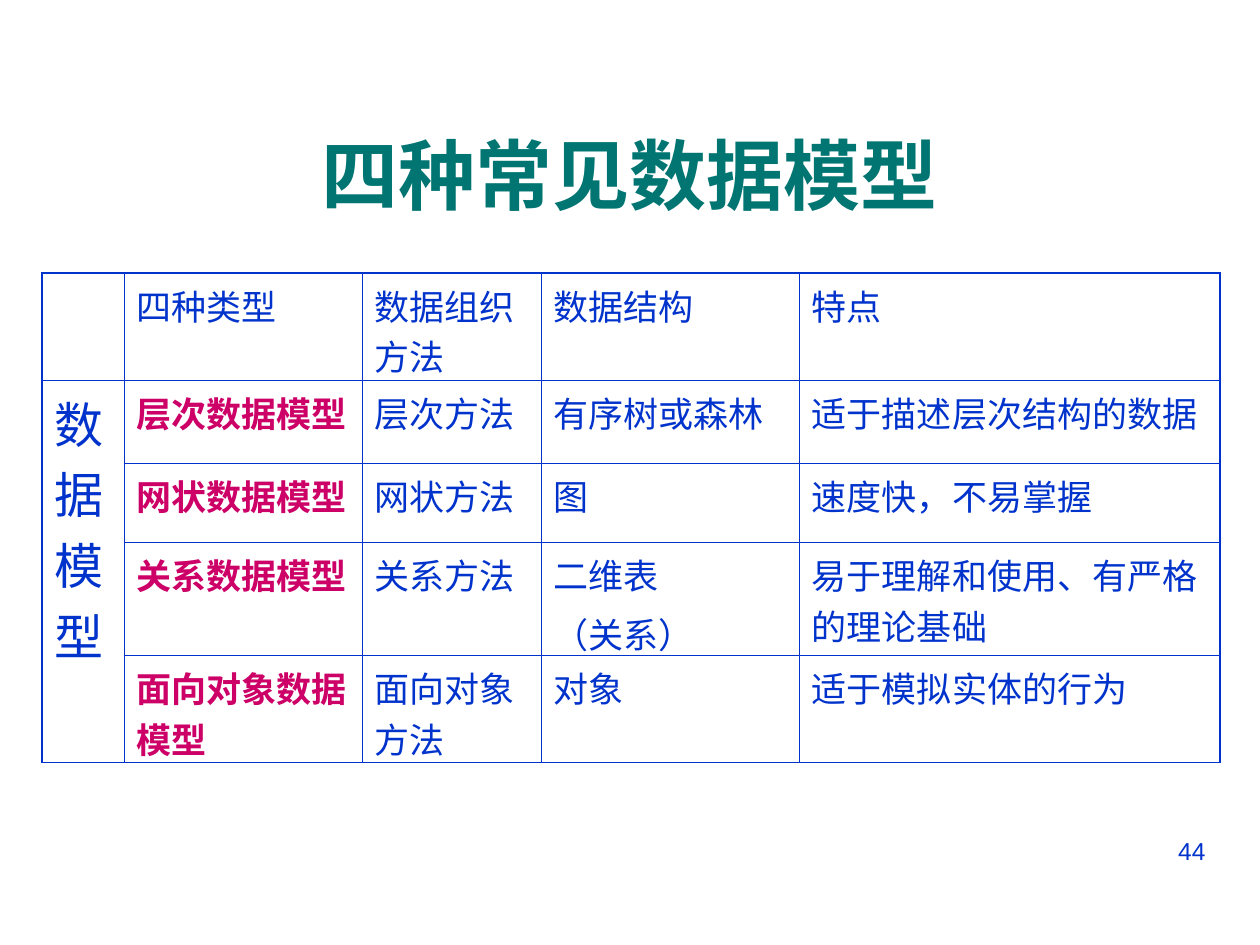
from pptx import Presentation
from pptx.dml.color import RGBColor
from pptx.enum.text import MSO_ANCHOR as Anchor, PP_ALIGN as Align
from pptx.oxml import parse_xml
from pptx.oxml.ns import nsdecls
from pptx.util import Pt

BLUE = RGBColor(0x00, 0x33, 0xCC)
PINK = RGBColor(0xCC, 0x00, 0x66)
TEAL = RGBColor(0x00, 0x75, 0x72)

THIN, THICK = 0.45, 1.08
COLUMNS = [46.8, 136.1, 102.2, 147.6, 240.5]
ROWS = [61.2, 47.5, 45.2, 64.6, 61.2]
MODELS = [
    ["", "四种类型", "数据组织方法", "数据结构", "特点"],
    ["数据模型", "层次数据模型", "层次方法", "有序树或森林", "适于描述层次结构的数据"],
    ["", "网状数据模型", "网状方法", "图", "速度快，不易掌握"],
    ["", "关系数据模型", "关系方法", "二维表\n（关系）", "易于理解和使用、有严格的理论基础"],
    ["", "面向对象数据模型", "面向对象方法", "对象", "适于模拟实体的行为"],
]


class SlideBuilder:
    font = "Arial"

    def __init__(self, prs):
        self.s = prs.slides.add_slide(prs.slide_layouts[5])

    def fill_text(self, tf, text, size, color=BLUE, bold=False, align=Align.LEFT):
        tf.word_wrap = True
        style = {"name": self.font, "size": Pt(size), "bold": bold}
        for i, line in enumerate(text.split("\n")):
            p = tf.add_paragraph() if i else tf.paragraphs[0]
            p.alignment = align
            if i:
                p.space_before = Pt(5)
            r = p.add_run()
            r.text = line
            for name, value in style.items():
                setattr(r.font, name, value)
            r.font.color.rgb = color

    def title(self, text, x, y, w, h):
        sp = self.s.shapes.title
        sp.left, sp.top, sp.width, sp.height = Pt(x), Pt(y), Pt(w), Pt(h)
        sp.text_frame.vertical_anchor = Anchor.MIDDLE
        self.fill_text(sp.text_frame, text, 44, TEAL, True, Align.CENTER)

    def text(self, text, x, y, w, h, size, align):
        sp = self.s.shapes.add_textbox(Pt(x), Pt(y), Pt(w), Pt(h))
        self.fill_text(sp.text_frame, text, size, align=align)

    def borders(self, cell, widths):
        tc_pr = cell._tc.get_or_add_tcPr()
        for side, width in widths.items():
            tc_pr.append(parse_xml(
                f'<a:ln{side} {nsdecls("a")} w="{Pt(width)}"><a:solidFill>'
                f'<a:srgbClr val="{BLUE}"/></a:solidFill></a:ln{side}>'))

    def table(self, data, x, y, columns, rows):
        n_rows, n_cols = len(rows), len(columns)
        table = self.s.shapes.add_table(n_rows, n_cols, Pt(x), Pt(y),
                                        Pt(sum(columns)), Pt(sum(rows))).table
        table.first_row = table.horz_banding = False
        for column, width in zip(table.columns, columns):
            column.width = Pt(width)
        for row, height in zip(table.rows, rows):
            row.height = Pt(height)

        for i, line in enumerate(data):
            for j, text in enumerate(line):
                cell = table.cell(i, j)
                # Outer edges are thicker than the inner grid
                self.borders(cell, {
                    "L": THICK if j == 0 else THIN,
                    "R": THICK if j == n_cols - 1 else THIN,
                    "T": THICK if i == 0 else THIN,
                    "B": THICK if i == n_rows - 1 else THIN,
                })
                cell.fill.background()
                cell.margin_bottom = 0
                if text:
                    is_model = i > 0 and j == 1
                    self.fill_text(cell.text_frame, text, 28 if j == 0 else 20,
                                   PINK if is_model else BLUE, is_model)
        # Row heading spans all the models
        table.cell(1, 0).merge(table.cell(n_rows - 1, 0))


def main():
    prs = Presentation()
    prs.slide_width, prs.slide_height = Pt(720), Pt(540)
    slide = SlideBuilder(prs)

    # Page number
    slide.text("44", 516, 474, 180, 37.5, 14, Align.RIGHT)
    # Comparison of the models
    slide.table(MODELS, 24, 156, COLUMNS, ROWS)
    # Title
    slide.title("四种常见数据模型", 24, 54, 672, 90)

    prs.save("out.pptx")


if __name__ == "__main__":
    main()
